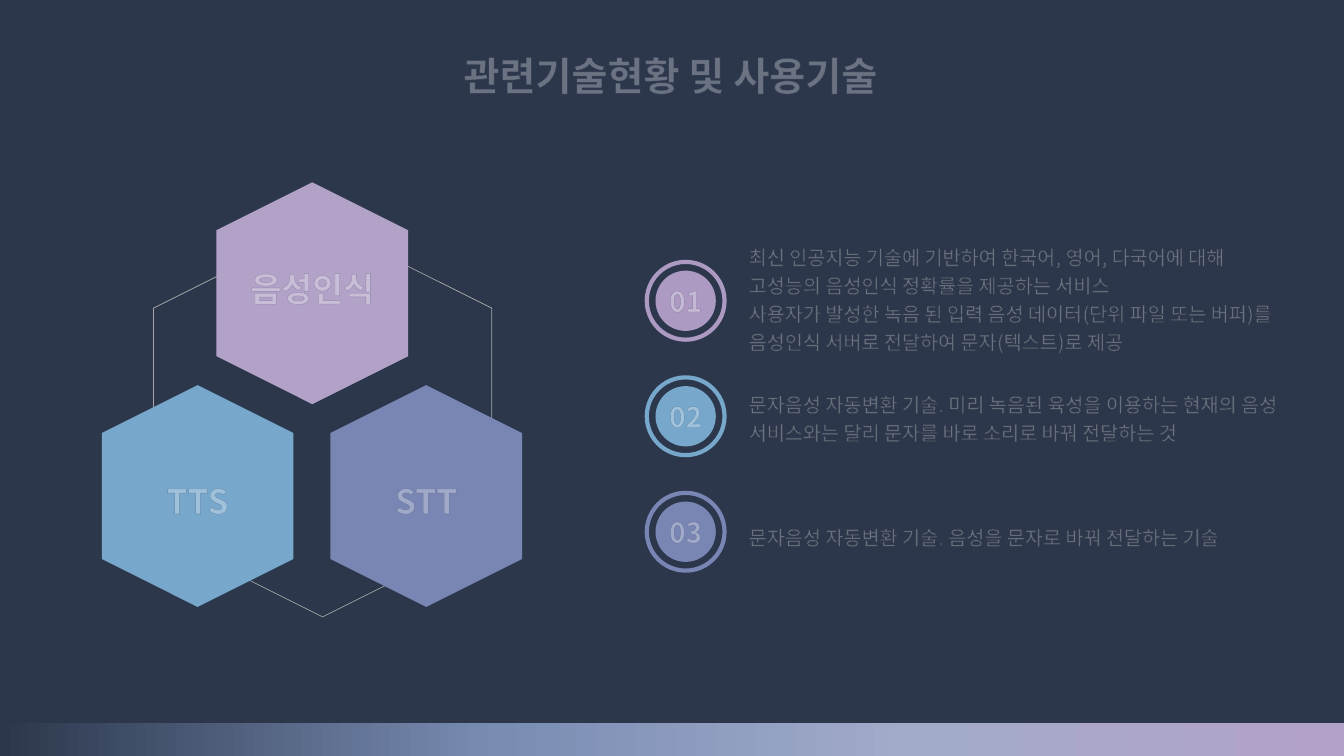
"""Build the slide on related technologies: speech recognition, TTS and STT."""
from dataclasses import dataclass

from lxml.etree import SubElement as Sub
from pptx import Presentation
from pptx.dml.color import RGBColor as Rgb
from pptx.enum.shapes import MSO_SHAPE as Kind
from pptx.enum.text import MSO_ANCHOR as Anchor, MSO_AUTO_SIZE as Fit, PP_ALIGN as Align
from pptx.oxml import parse_xml
from pptx.oxml.ns import nsdecls, qn
from pptx.util import Cm, Pt

FONT = "Noto Sans CJK KR"
HUES = {
    "back": "2C374C", "white": "FFFFFF", "frame": "A6A6A6",
    "mauve": "B3A2C7", "plum": "AC9AC2", "sky": "77A7CB", "indigo": "7985B3",
    "steel": "798DB3", "mist": "A3ABCA", "navy": "3A4966", "dark": "404040",
}
FADE = [(0, "back"), (37, "steel"), (68, "mist"), (100, "mauve")]


@dataclass
class Hexa:
    label: str
    hue: str
    x: float
    y: float
    shift: float


@dataclass
class Item:
    mark: str
    hue: str
    top: float
    tall: float
    lines: list[str]


HEXES = [
    Hexa("음성인식", "mauve", 7.87, 7.39, -0.13),
    Hexa("TTS", "sky", 4.98, 12.5, 0.11),
    Hexa("STT", "indigo", 10.74, 12.5, 0.11),
]
ITEMS = [
    Item("01", "plum", 5.94, 3.05, [
        "최신 인공지능 기술에 기반하여 한국어, 영어, 다국어에 대해 고성능의 음성인식 정확률을 제공하는 서비스",
        "사용자가 발성한 녹음 된 입력 음성 데이터(단위 파일 또는 버퍼)를 음성인식 서버로 전달하여 문자(텍스트)로 제공",
    ]),
    Item("02", "sky", 9.65, 1.63, [
        "문자음성 자동변환 기술. 미리 녹음된 육성을 이용하는 현재의 음성 서비스와는 달리 문자를 바로 소리로 바꿔 전달하는 것",
    ]),
    Item("03", "indigo", 13.0, 0.91, [
        "문자음성 자동변환 기술. 음성을 문자로 바꿔 전달하는 기술",
    ]),
]
RING_X, RING_Y, STEP = 17.28, 7.58, 2.91


def tint(name: str) -> Rgb:
    """Return the named colour."""
    return Rgb.from_string(HUES[name])


def draw(slide, kind: Kind, x: float, y: float, wide: float, tall: float,
         fill: str = "", line: str = "", width: float = 0):
    """Draw a preset shape centred on x, y."""
    shape = slide.shapes.add_shape(
        kind, Cm(x - wide / 2), Cm(y - tall / 2), Cm(wide), Cm(tall))
    shape.shadow.inherit = False
    if fill:
        shape.fill.solid()
        shape.fill.fore_color.rgb = tint(fill)
    else:
        shape.fill.background()
    if line:
        shape.line.color.rgb = tint(line)
        shape.line.width = Pt(width)
    else:
        shape.line.fill.background()
    return shape


def write(slide, lines: list[str], x: float, y: float, wide: float, tall: float,
          size: int, edge: str, bold: bool = False, gap: float = 1.0,
          align: Align = Align.CENTER, anchor: Anchor = Anchor.TOP,
          fit: Fit = Fit.SHAPE_TO_FIT_TEXT) -> None:
    """Write paragraphs with a faint outline in a text box."""
    frame = slide.shapes.add_textbox(Cm(x), Cm(y), Cm(wide), Cm(tall)).text_frame
    frame.word_wrap = True
    frame.auto_size = fit
    frame.vertical_anchor = anchor
    frame.text = "\n".join(lines)
    for para in frame.paragraphs:
        para.alignment = align
        para.line_spacing = gap
        font = para.font
        font.name, font.size, font.bold = FONT, Pt(size), bold
        font.color.rgb = tint("white")
        props = para._p.pPr.find(qn("a:defRPr"))
        props.insert(0, parse_xml(
            f'<a:ln {nsdecls("a")} w="9525"><a:solidFill><a:srgbClr val="{HUES[edge]}">'
            '<a:alpha val="30000"/></a:srgbClr></a:solidFill>'
            '<a:prstDash val="solid"/></a:ln>'))
        Sub(props, qn("a:ea"), typeface=FONT)


def label(slide, text: str, x: float, y: float, size: int) -> None:
    """Write a bold label centred on x, y."""
    wide, tall = 4.4, 1.6
    write(slide, [text], x - wide / 2, y - tall / 2, wide, tall, size, "navy",
          bold=True, anchor=Anchor.MIDDLE, fit=Fit.NONE)


def band(slide) -> None:
    """Draw the gradient band along the foot of the slide."""
    shape = draw(slide, Kind.RECTANGLE, 16.94, 18.63, 33.87, 0.84)
    shape.fill.gradient()
    shape.fill.gradient_angle = 0
    stops = shape._element.spPr.find(".//" + qn("a:gsLst"))
    stops.clear()
    for spot, name in FADE:
        stop = Sub(stops, qn("a:gs"), pos=str(spot * 1000))
        Sub(stop, qn("a:srgbClr"), val=HUES[name])


def main() -> None:
    """Build and save the deck."""
    deck = Presentation()
    deck.slide_width, deck.slide_height = Cm(33.87), Cm(19.05)
    slide = deck.slides.add_slide(deck.slide_layouts[6])
    slide.background.fill.solid()
    slide.background.fill.fore_color.rgb = tint("back")

    band(slide)
    write(slide, ["관련기술현황 및 사용기술"], 6.86, 1.17, 20.07, 1.45, 28, "navy", bold=True)

    draw(slide, Kind.HEXAGON, 8.13, 10.59, 9.91, 8.53, line="frame", width=0.5).rotation = 90
    for cell in HEXES:
        draw(slide, Kind.HEXAGON, cell.x, cell.y, 5.59, 4.83, fill=cell.hue).rotation = 90
        label(slide, cell.label, cell.x, cell.y + cell.shift, 24)

    for row, item in enumerate(ITEMS):
        y = RING_Y + row * STEP
        write(slide, item.lines, 18.62, item.top, 14.38, item.tall, 14, "dark",
              gap=1.2, align=Align.LEFT)
        draw(slide, Kind.OVAL, RING_X, y, 1.52, 1.52, fill=item.hue)
        draw(slide, Kind.OVAL, RING_X, y, 1.96, 1.96, line=item.hue, width=3)
        label(slide, item.mark, RING_X, y, 20)

    deck.save("out.pptx")


if __name__ == "__main__":
    main()
